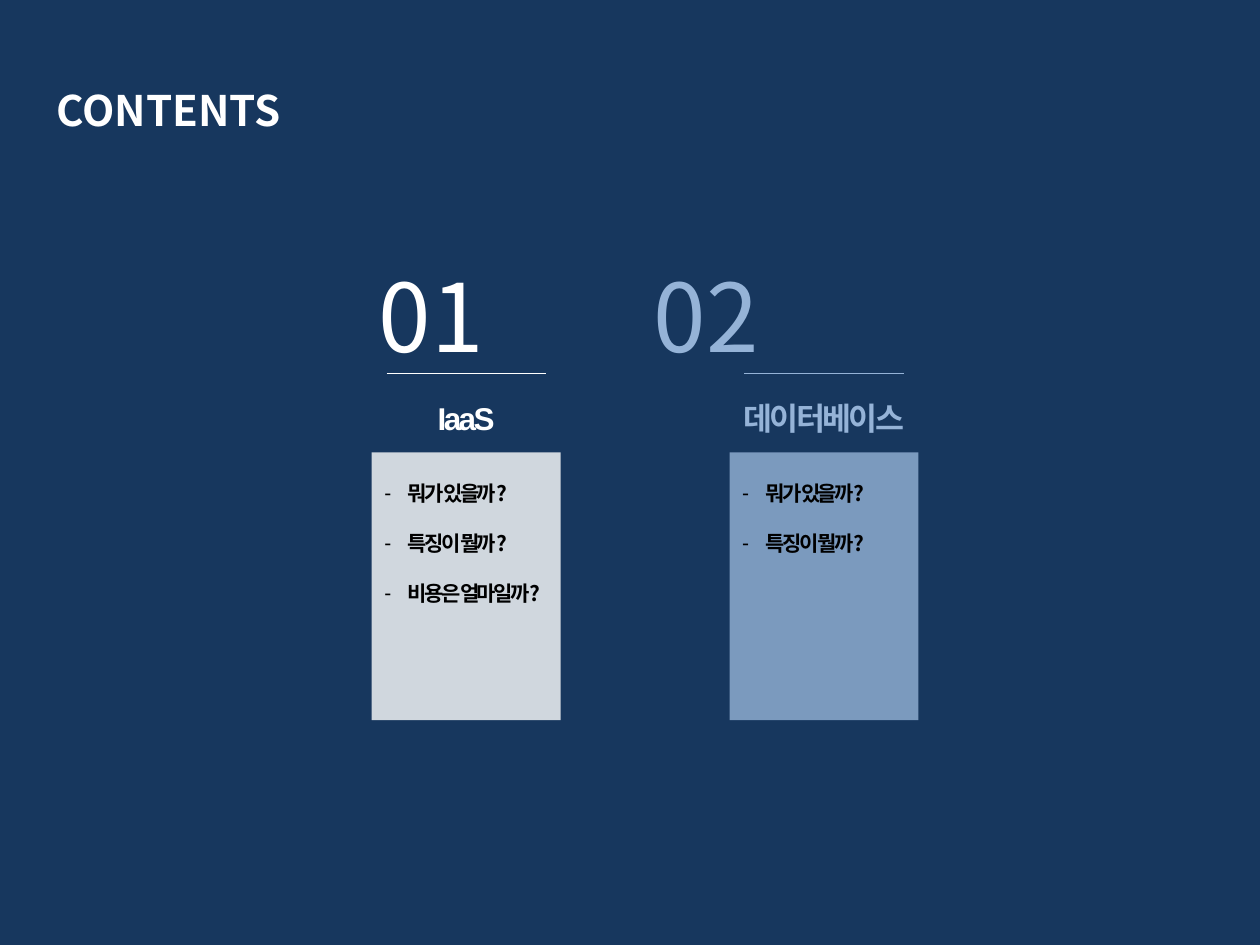
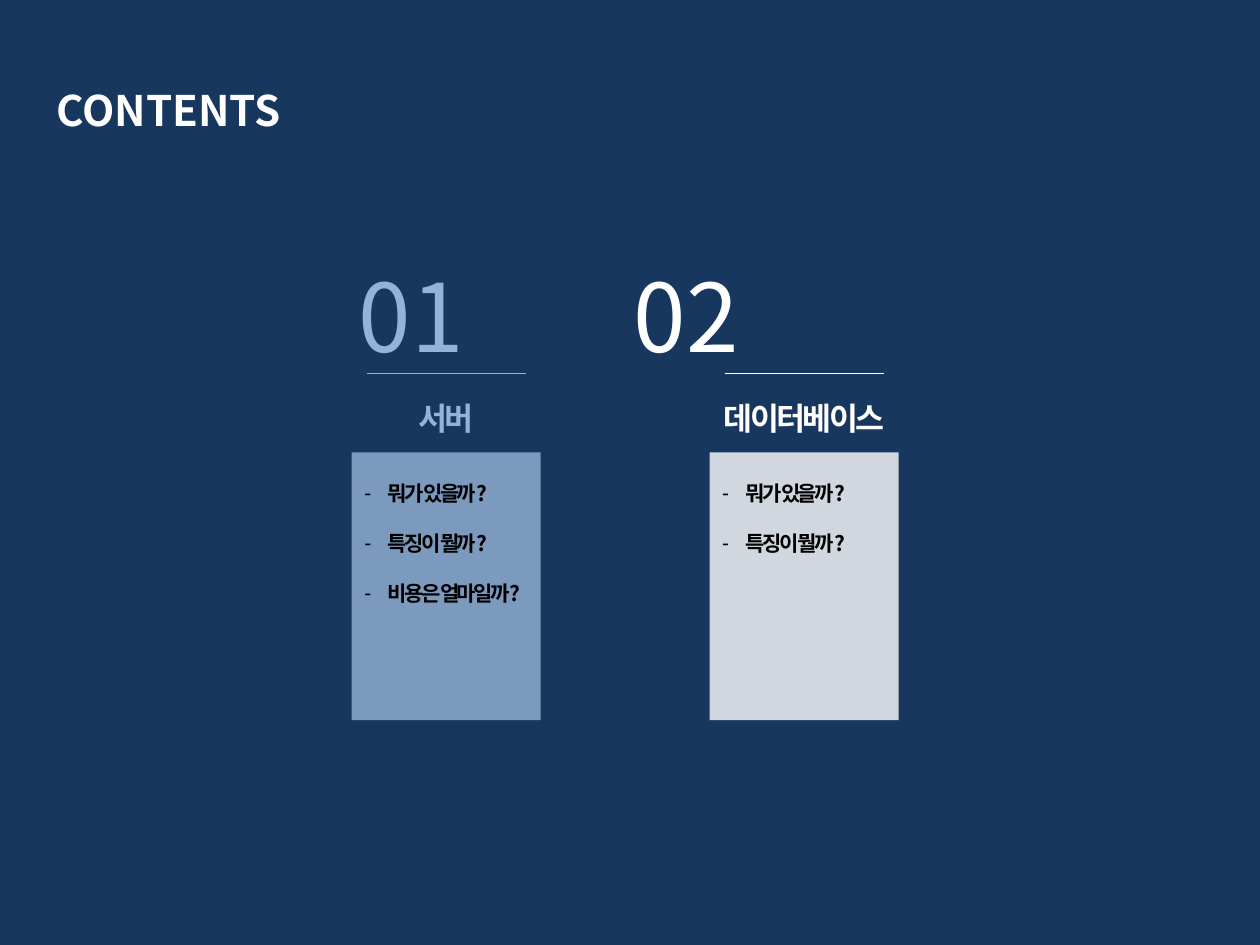
from pptx import Presentation
from pptx.dml.color import RGBColor
from pptx.enum.shapes import MSO_CONNECTOR as Connector, MSO_SHAPE as Shape
from pptx.enum.text import MSO_ANCHOR as Anchor, MSO_AUTO_SIZE as AutoSize, PP_ALIGN as Align
from pptx.oxml.ns import qn
from pptx.util import Pt
from lxml.etree import SubElement

COLORS = {"navy": "17375E", "active": "FFFFFF", "muted": "95B3D7", "black": "000000"}
NOTO = "Noto Sans CJK KR"
ARIAL = "Arial"
COLUMN_STEP = 204.5
NUMBER_STEP = 157
PANEL_WIDTH = 108
HEADING_WIDTH = 130
RULE_WIDTH = 91
LIST_INDENT = 13.5
QUESTIONS = ["뭐가 있을까?", "특징이 뭘까?", "비용은 얼마일까?"]
AGENDAS = [
    {"left": 212.4, "active": 0, "headings": ["IaaS", "데이터베이스"]},
    {"left": 201, "active": 1, "headings": ["서버", "데이터베이스"]},
]


def rgb(name):
    return RGBColor.from_string(COLORS[name])


def place(shape, left, top, width, height):
    shape.left, shape.top, shape.width, shape.height = map(Pt, (left, top, width, height))


def format_text(box, size, color, line, font=NOTO, bold=False, spacing=0, align=Align.LEFT):
    frame = box.text_frame
    frame.word_wrap = True
    frame.auto_size = AutoSize.NONE
    frame.vertical_anchor = Anchor.TOP
    for para in frame.paragraphs:
        para.alignment = align
        para.line_spacing = Pt(line)
        para.space_before = Pt(0)
        for span in para.runs:
            span.font.size = Pt(size)
            span.font.name = font
            span.font.bold = bold
            span.font.color.rgb = rgb(color)
            properties = span.font._element
            SubElement(properties, qn("a:ea")).set("typeface", NOTO)
            if spacing:
                properties.set("spc", str(int(spacing * 100)))


def add_title(page, text):
    title = page.shapes.title
    place(title, 25, 43.2, 329, 36)
    title.text_frame.text = text
    format_text(title, 24, "active", 30.5, bold=True)


def add_label(page, text, left, top, width, height, **style):
    box = page.shapes.add_textbox(Pt(left), Pt(top), Pt(width), Pt(height))
    box.text_frame.text = text
    format_text(box, **style)


def add_rule(page, left, top, color):
    rule = page.shapes.add_connector(
        Connector.STRAIGHT, Pt(left), Pt(top), Pt(left + RULE_WIDTH), Pt(top))
    rule.line.color.rgb = rgb(color)
    rule.line.width = Pt(0.75)
    SubElement(rule.element.spPr, qn("a:effectLst"))


def add_panel(page, left, color):
    panel = page.shapes.add_shape(
        Shape.RECTANGLE, Pt(left), Pt(258.5), Pt(PANEL_WIDTH), Pt(153))
    panel.shadow.inherit = False
    panel.fill.solid()
    panel.fill.fore_color.rgb = rgb(color)
    fill_color = panel.element.spPr.find(".//" + qn("a:srgbClr"))
    SubElement(fill_color, qn("a:alpha")).set("val", "80000")
    panel.line.fill.background()
    page.shapes.title.element.addprevious(panel.element)


def fill_list(box, items, left):
    place(box, left, 270, PANEL_WIDTH, 80)
    frame = box.text_frame
    frame.text = "\n".join(items)
    frame.margin_right = Pt(0)
    format_text(box, 12, "black", 15.2, bold=True, spacing=-1.5)
    for para in frame.paragraphs:
        para.space_after = Pt(13.6)
        properties = para._p.get_or_add_pPr()
        properties.set("marL", str(Pt(LIST_INDENT)))
        properties.set("indent", str(-Pt(LIST_INDENT)))
        SubElement(properties, qn("a:buChar")).set("char", "-")


def add_column(page, agenda, index):
    left = agenda["left"] + index * COLUMN_STEP
    color = "active" if index == agenda["active"] else "muted"
    add_panel(page, left, color)
    add_label(page, f"{index + 1:02}", agenda["left"] - 3 + index * NUMBER_STEP, 139.7, 110, 73,
              size=54, color=color, line=69)
    add_rule(page, left + (PANEL_WIDTH - RULE_WIDTH) / 2, 213.3, color)
    add_label(page, agenda["headings"][index], left + (PANEL_WIDTH - HEADING_WIDTH) / 2, 224,
              HEADING_WIDTH, 29, size=18, color=color, line=22, font=ARIAL, bold=True,
              spacing=-1.5, align=Align.CENTER)
    fill_list(page.placeholders[index + 1], QUESTIONS[:3 - index], left)


def main():
    deck = Presentation()
    deck.slide_width, deck.slide_height = Pt(720), Pt(540)
    background = deck.slide_master.background.fill
    background.solid()
    background.fore_color.rgb = rgb("navy")
    for agenda in AGENDAS:
        page = deck.slides.add_slide(deck.slide_layouts.get_by_name("Two Content"))
        add_title(page, "CONTENTS")
        for index in range(len(agenda["headings"])):
            add_column(page, agenda, index)
    deck.save("out.pptx")


if __name__ == "__main__":
    main()
